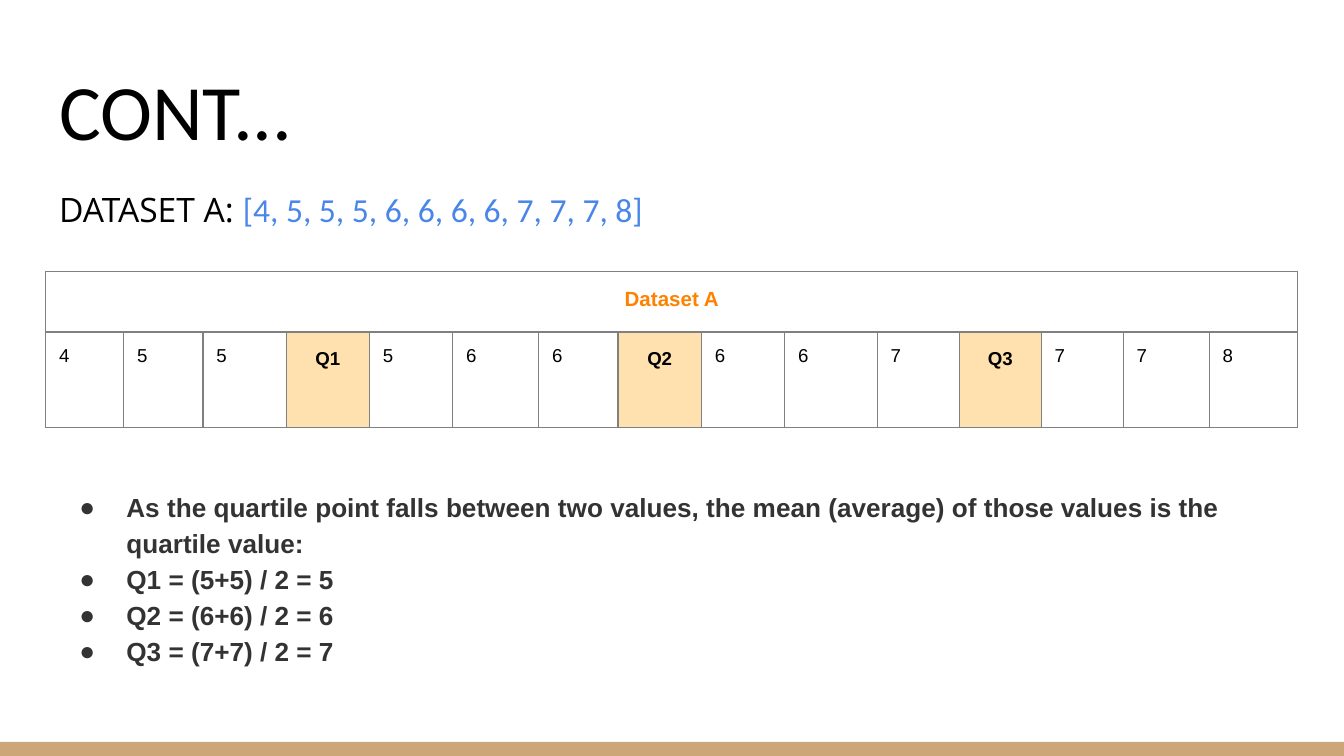
from lxml.etree import SubElement
from pptx import Presentation
from pptx.dml.color import RGBColor
from pptx.enum.shapes import MSO_SHAPE
from pptx.enum.text import MSO_ANCHOR, MSO_AUTO_SIZE, PP_ALIGN
from pptx.oxml.ns import qn
from pptx.util import Inches, Pt

BLACK, GREY, WHITE = "000000", "333333", "FFFFFF"
BLUE, ORANGE, PEACH, TAN, BORDER = "4A86E8", "FF8100", "FFE1B0", "CCA677", "808080"

VALUES = ["4", "5", "5", "Q1", "5", "6", "6", "Q2", "6", "6", "7", "Q3", "7", "7", "8"]
COLUMN_WIDTHS = [0.58, 0.59, 0.62, 0.62, 0.62, 0.64, 0.59, 0.62, 0.62, 0.69, 0.61, 0.61, 0.61, 0.64, 0.66]
ROW_HEIGHTS = [0.45, 0.71]
BULLETS = [
    "As the quartile point falls between two values, the mean (average) of those values is the quartile value:",
    "Q1 = (5+5) / 2 = 5",
    "Q2 = (6+6) / 2 = 6",
    "Q3 = (7+7) / 2 = 7",
]


def color(value):
    return RGBColor.from_string(value)


class SlideBuilder:
    """Holds the style and the current slide, and adds each kind of element."""

    left, width, margin, line_spacing = 0.34, 9.32, 0.1, 1.15

    def __init__(self, presentation):
        self.slide = presentation.slides.add_slide(presentation.slide_layouts[1])
        self.slide.background.fill.solid()
        self.slide.background.fill.fore_color.rgb = color(WHITE)

    def format_run(self, run, font, size, fill, bold=False):
        run.font.name = font
        run.font.size = Pt(size)
        run.font.color.rgb = color(fill)
        run.font.bold = bold

    def set_margins(self, target):
        for side in ("left", "top", "right", "bottom"):
            setattr(target, f"margin_{side}", Inches(self.margin))

    def place(self, placeholder, top, height, anchor):
        placeholder.left, placeholder.top = Inches(self.left), Inches(top)
        placeholder.width, placeholder.height = Inches(self.width), Inches(height)
        frame = placeholder.text_frame
        frame.auto_size = MSO_AUTO_SIZE.NONE
        frame.word_wrap = True
        frame.vertical_anchor = anchor
        self.set_margins(frame)
        return frame

    def add_bar(self, top, height, fill):
        bar = self.slide.shapes.add_shape(MSO_SHAPE.RECTANGLE, 0, Inches(top), Inches(10), Inches(height))
        bar.shadow.inherit = False
        bar.fill.solid()
        bar.fill.fore_color.rgb = color(fill)
        bar.line.fill.background()

    def add_title(self, text):
        frame = self.place(self.slide.shapes.title, 0.35, 0.91, MSO_ANCHOR.BOTTOM)
        frame.text = text
        frame.paragraphs[0].alignment = PP_ALIGN.LEFT
        self.format_run(frame.paragraphs[0].runs[0], "Calibri", 42, BLACK)

    def set_bullet(self, paragraph, character=None):
        properties = paragraph._p.get_or_add_pPr()
        properties.set("marL", str(Inches(0.5) if character else 0))
        properties.set("indent", str(Inches(-0.35) if character else 0))
        if character:
            bullet_color = SubElement(properties, qn("a:buClr"))
            SubElement(bullet_color, qn("a:srgbClr"), val=GREY)
            SubElement(properties, qn("a:buFont"), typeface="Arial")
            SubElement(properties, qn("a:buChar"), char=character)
        else:
            SubElement(properties, qn("a:buNone"))
        paragraph.line_spacing = self.line_spacing
        paragraph.space_before = Pt(0)

    def add_body(self, label, dataset, bullets, gap):
        frame = self.place(self.slide.placeholders[1], 1.26, 4.22, MSO_ANCHOR.TOP)
        heading = frame.paragraphs[0]
        self.set_bullet(heading)
        for text, font, fill in ((label, "Open Sans", BLACK), (dataset, "Calibri", BLUE)):
            run = heading.add_run()
            run.text = text
            self.format_run(run, font, 18, fill)
        for index, text in enumerate(bullets):
            paragraph = frame.add_paragraph()
            paragraph.text = text
            self.set_bullet(paragraph, "●")
            if index == 0:
                paragraph.space_before = Pt(gap)
            self.format_run(paragraph.runs[0], "Arial", 14, GREY, True)

    def set_cell(self, cell, text, size=10, font_color=BLACK, fill=WHITE, strong=False):
        cell.text = text
        self.set_margins(cell)
        paragraph = cell.text_frame.paragraphs[0]
        if strong:
            paragraph.alignment = PP_ALIGN.CENTER
            paragraph.line_spacing = self.line_spacing
        self.format_run(paragraph.runs[0], "Arial", size, font_color, strong)
        cell.fill.solid()
        cell.fill.fore_color.rgb = color(fill)

    def set_borders(self, cell):
        properties = cell._tc.get_or_add_tcPr()
        for tag in ("a:lnL", "a:lnR", "a:lnT", "a:lnB"):
            line = SubElement(properties, qn(tag), w=str(Pt(0.75)))
            SubElement(SubElement(line, qn("a:solidFill")), qn("a:srgbClr"), val=BORDER)

    def add_quartile_table(self, heading, values, top):
        frame = self.slide.shapes.add_table(
            len(ROW_HEIGHTS), len(values), Inches(self.left), Inches(top),
            Inches(self.width), Inches(sum(ROW_HEIGHTS)))
        table = frame.table
        table.first_row = table.horz_banding = False
        for column, width in zip(table.columns, COLUMN_WIDTHS):
            column.width = Inches(width)
        for row, height in zip(table.rows, ROW_HEIGHTS):
            row.height = Inches(height)
        for cell in table.iter_cells():
            self.set_borders(cell)
        table.cell(0, 0).merge(table.cell(0, len(values) - 1))
        self.set_cell(table.cell(0, 0), heading, 11, ORANGE, strong=True)
        for index, value in enumerate(values):
            quartile = value.startswith("Q")
            self.set_cell(table.cell(1, index), value, fill=PEACH if quartile else WHITE, strong=quartile)


def main():
    presentation = Presentation()
    presentation.slide_width = Inches(10)
    presentation.slide_height = Inches(10 * 9 / 16)
    builder = SlideBuilder(presentation)
    builder.add_bar(5.52, 0.11, TAN)
    builder.add_title("CONT...")
    builder.add_body("DATASET A: ", "[4, 5, 5, 5, 6, 6, 6, 6, 7, 7, 7, 8]", BULLETS, 138)
    builder.add_quartile_table("Dataset A", VALUES, 2.02)
    presentation.save("out.pptx")


if __name__ == "__main__":
    main()
